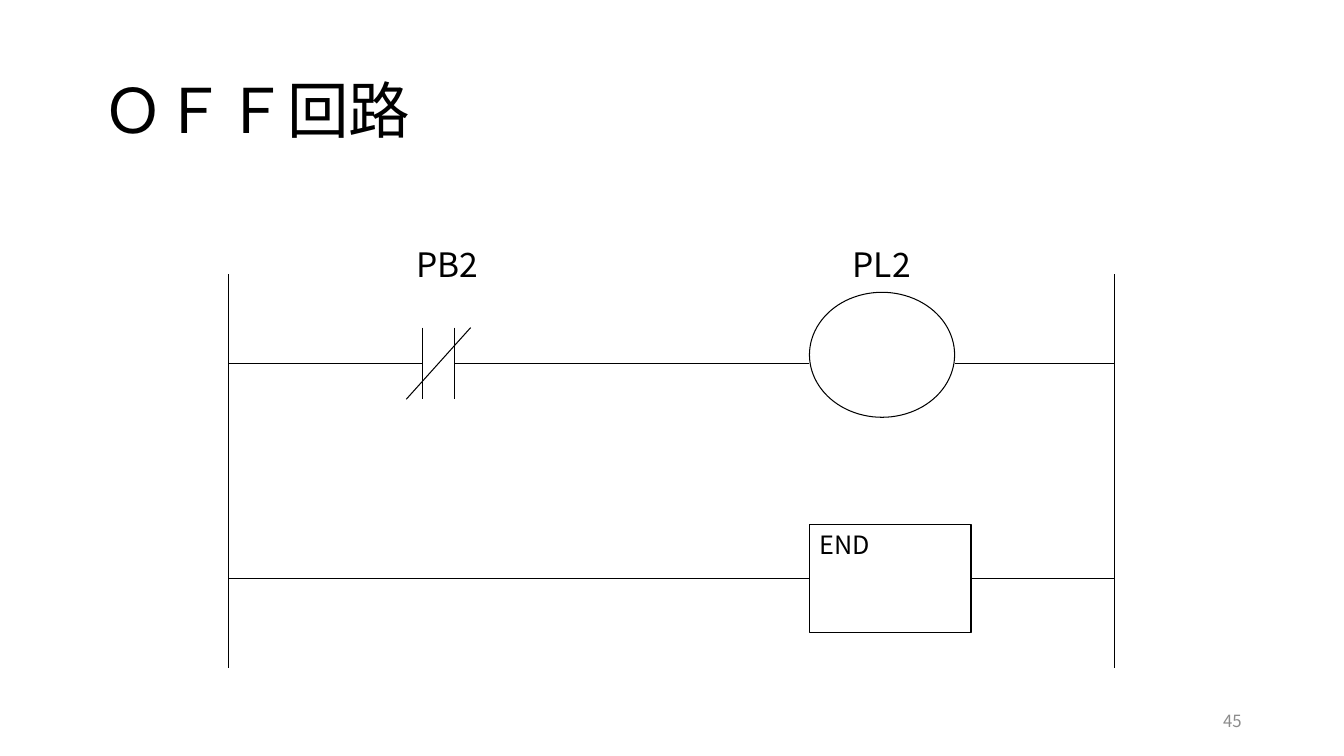
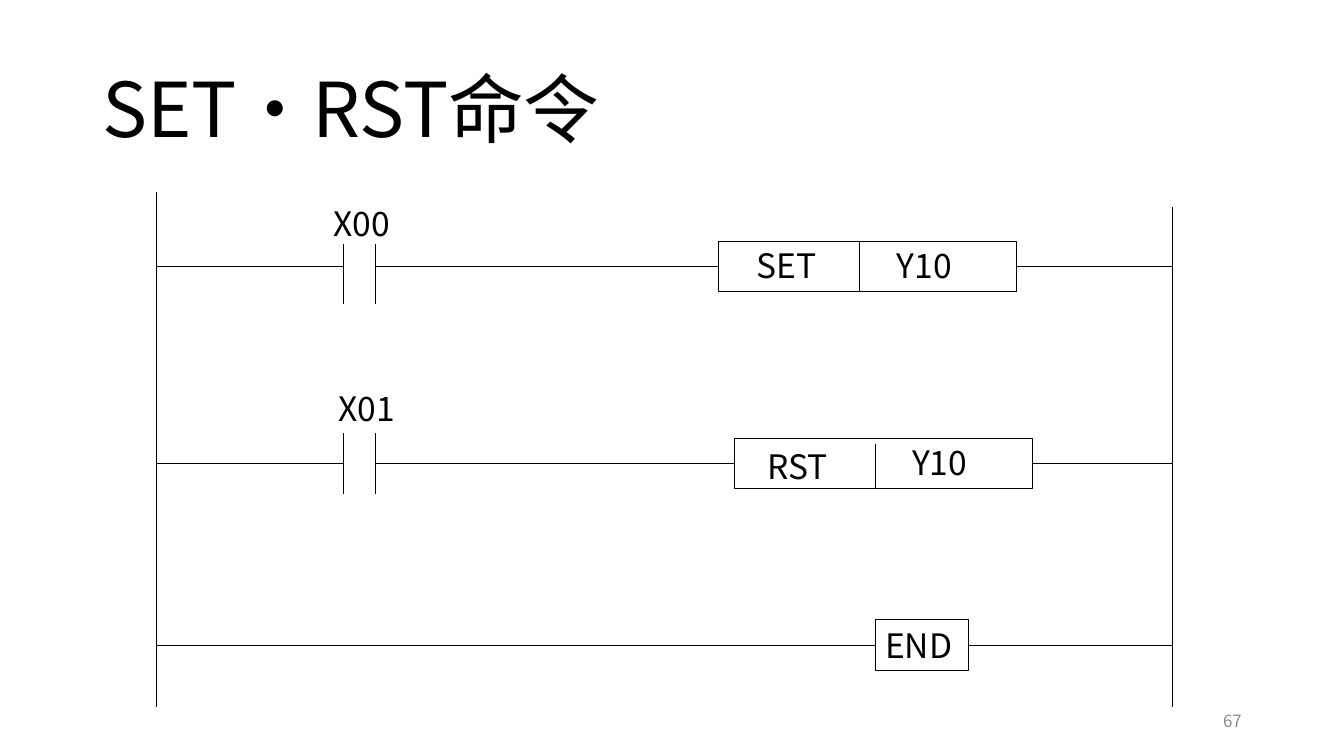
from lxml.etree import SubElement
from pptx import Presentation
from pptx.dml.color import RGBColor
from pptx.enum.shapes import MSO_CONNECTOR, MSO_SHAPE
from pptx.enum.text import MSO_ANCHOR, PP_ALIGN
from pptx.oxml.ns import qn
from pptx.util import Pt

COLORS = {"ink": "000000", "paper": "FFFFFF", "page": "8C8C8C"}
FONT = "Noto Sans CJK JP"
LEFT, RIGHT = 1, 3


def color(name):
    return RGBColor.from_string(COLORS[name])


def write(shape, text, size=24, ink="ink", align=PP_ALIGN.LEFT,
          anchor=MSO_ANCHOR.MIDDLE, space=1.0):
    frame = shape.text_frame
    frame.word_wrap = True
    frame.vertical_anchor = anchor
    par = frame.paragraphs[0]
    par.alignment = align
    par.line_spacing = space
    run = par.add_run()
    run.text = text
    run.font.name = FONT
    run.font.size = Pt(size)
    run.font.color.rgb = color(ink)
    SubElement(run.font._element, qn("a:ea")).set("typeface", FONT)


class Ladder:
    def __init__(self, deck):
        self.deck = deck
        self.slide = None

    def start(self, title, size, page):
        self.slide = self.deck.slides.add_slide(self.deck.slide_layouts[6])
        self.label(title, 66, 28.8, 828, 104.4, size=size, space=0.9)
        self.label(page, 678, 500.4, 216, 28.8, size=12, ink="page",
                   align=PP_ALIGN.RIGHT)

    def label(self, text, x, y, w=64, h=36, **style):
        box = self.slide.shapes.add_textbox(Pt(x), Pt(y), Pt(w), Pt(h))
        write(box, text, **style)

    def line(self, x1, y1, x2, y2):
        line = self.slide.shapes.add_connector(
            MSO_CONNECTOR.STRAIGHT, Pt(x1), Pt(y1), Pt(x2), Pt(y2))
        line.line.color.rgb = color("ink")
        line.line.width = Pt(0.75)
        SubElement(line._element.spPr, qn("a:effectLst"))
        return line

    def block(self, x, y, w, h, text="", kind=MSO_SHAPE.RECTANGLE, **style):
        block = self.slide.shapes.add_shape(kind, Pt(x), Pt(y), Pt(w), Pt(h))
        block.shadow.inherit = False
        block.fill.solid()
        block.fill.fore_color.rgb = color("paper")
        block.line.color.rgb = color("ink")
        block.line.width = Pt(0.75)
        if text:
            write(block, text, **style)
        return block

    def contact(self, x1, x2, top, base):
        for x in (x1, x2):
            self.line(x, top, x, base)

    def rung(self, y, left, right, block, gap=None, join=True):
        start = left
        if gap:
            self.line(left, y, gap[0], y)
            start = gap[1]
        near = block.left.pt
        lead = self.line(start, y, near, y)
        tail = self.line(near + block.width.pt, y, right, y)
        if join:
            lead.end_connect(block, LEFT)
            tail.begin_connect(block, RIGHT)


def off(art):
    art.start("ＯＦＦ回路", 44, "45")
    left, right, gap = 163.5, 796.3, (301.7, 324.7)
    for x in (left, right):
        art.line(x, 195.8, x, 477.4)
    art.contact(*gap, 234, 285.2)
    art.line(336.2, 234, 290.2, 285.2)
    lamp = art.block(578.2, 208.8, 103.7, 89.3, kind=MSO_SHAPE.OVAL)
    art.rung(259.9, left, right, lamp, gap, join=False)
    end = art.block(578.2, 374.8, 115.4, 77, "END", size=18,
                    anchor=MSO_ANCHOR.TOP)
    art.rung(413.3, left, right, end)
    art.label("PB2", 290.2, 170.6)
    art.label("PL2", 602, 170.6)


def latch(art):
    art.start("SET・RST命令", 54, "67")
    left, right, gap = 111.6, 837.4, (245.5, 267.9)
    art.line(left, 136.8, left, 504.7)
    art.line(right, 147.6, right, 504.7)
    rows = [
        (190.6, 513.4, 174.2, 172.6, ("X00", 231.1, 141.1),
         ("SET", 533.5, 171.4), ("Y10", 633.6, 171.4)),
        (331.2, 524.9, 309.6, 316.8, ("X01", 234.7, 273.6),
         ("RST", 541.4, 314.6), ("Y10", 644.4, 311.8)),
    ]
    for y, x, top, split, *names in rows:
        art.contact(*gap, top, top + 43.2)
        block = art.block(x, y - 18, 212.4, 36)
        art.rung(y, left, right, block, gap)
        art.line(x + 100.6, split, x + 100.6, y + 18)
        for name in names:
            art.label(*name)
    end = art.block(625.2, 442.8, 66.5, 36, "END")
    art.rung(460.8, left, right, end)


def main():
    deck = Presentation()
    deck.slide_width, deck.slide_height = Pt(960), Pt(540)
    art = Ladder(deck)
    off(art)
    latch(art)
    deck.save("out.pptx")


if __name__ == "__main__":
    main()
